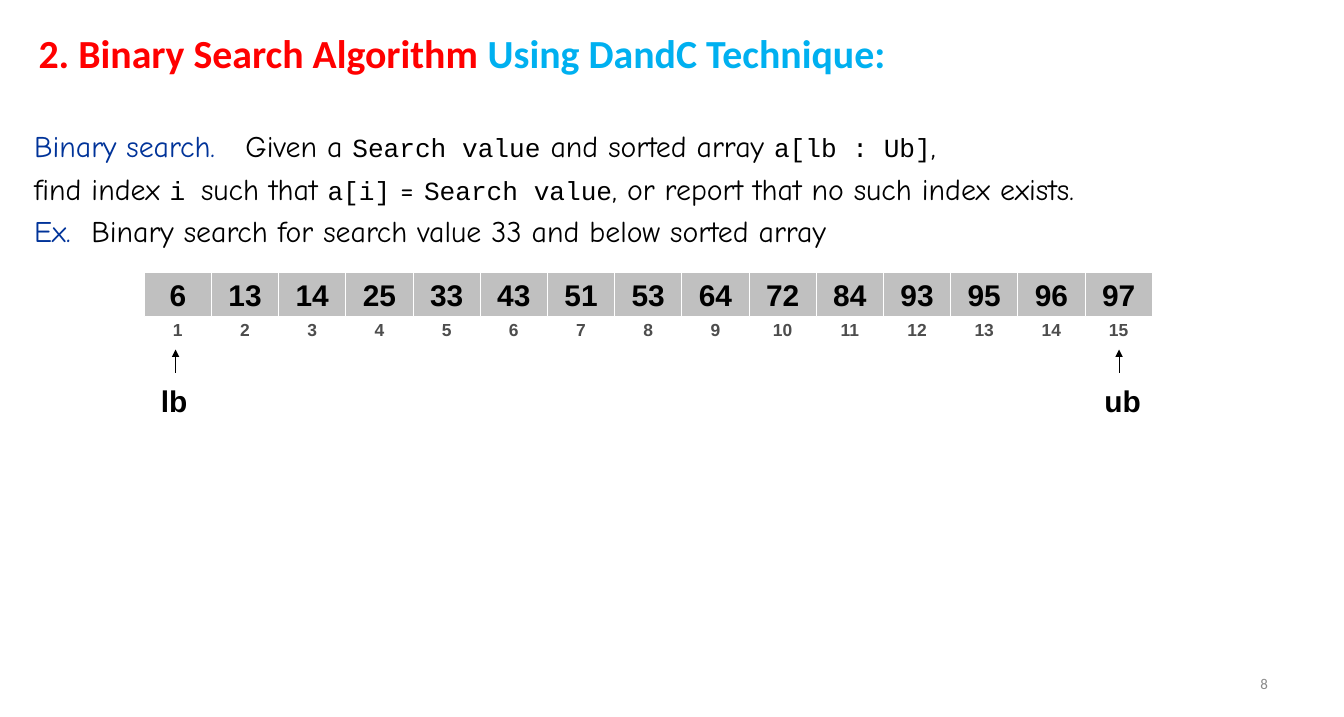
from lxml.etree import SubElement
from pptx import Presentation
from pptx.dml.color import RGBColor
from pptx.enum.shapes import MSO_CONNECTOR, MSO_SHAPE
from pptx.enum.text import MSO_ANCHOR, PP_ALIGN
from pptx.oxml.ns import qn
from pptx.util import Inches, Pt

BLACK, BLUE, WHITE = "000000", "003399", "FFFFFF"
HAND, CODE = ("Comic Neue", 24), ("Courier New", 21)

VALUES = [6, 13, 14, 25, 33, 43, 51, 53, 64, 72, 84, 93, 95, 96, 97]
ARRAY_LEFT, CELL_WIDTH = 1.61, 0.75

# Each line: optional tab stop in inches, then (text, typeface and size, colour)
PROBLEM = [
    (2.36, [("Binary search.", HAND, BLUE), ("\tGiven a ", HAND, BLACK),
            ("Search value", CODE, BLACK), (" and sorted array ", HAND, BLACK),
            ("a[lb : Ub]", CODE, BLACK), (",", HAND, BLACK)]),
    (None, [("find index ", HAND, BLACK), ("i ", CODE, BLACK),
            ("such that ", HAND, BLACK), ("a[i]", CODE, BLACK),
            (" = ", HAND, BLACK), ("Search value", CODE, BLACK),
            (", or report that no such index exists.", HAND, BLACK)]),
    (0.64, [("Ex.", HAND, BLUE),
            ("\tBinary search for search value 33 and below sorted array",
             HAND, BLACK)]),
]


def rgb(value):
    return RGBColor.from_string(value)


def set_font(font, name, size, color, bold=False):
    font.name, font.size, font.bold = name, Pt(size), bold
    font.color.rgb = rgb(color)


class SearchSlide:
    def __init__(self, presentation):
        self.slide = presentation.slides.add_slide(presentation.slide_layouts[5])
        self.shapes = self.slide.shapes

    def title(self, parts, left, top, width, height):
        heading = self.shapes.title
        heading.left, heading.top = Inches(left), Inches(top)
        heading.width, heading.height = Inches(width), Inches(height)
        heading.text_frame.vertical_anchor = MSO_ANCHOR.MIDDLE
        paragraph = heading.text_frame.paragraphs[0]
        paragraph.alignment = PP_ALIGN.LEFT
        paragraph.font.name, paragraph.font.size = "Calibri", Pt(32)
        paragraph.font.bold = True
        for text, color in parts:
            run = paragraph.add_run()
            run.text = text
            run.font.color.rgb = rgb(color)

    def frame(self, shape, wrap, anchor):
        """Give a shape the slide's common text margins."""
        frame = shape.text_frame
        frame.margin_left = frame.margin_right = Inches(0.13)
        frame.margin_top = frame.margin_bottom = Inches(0.07)
        frame.word_wrap, frame.vertical_anchor = wrap, anchor
        return frame

    def text_box(self, left, top, width, height, wrap=False, anchor=MSO_ANCHOR.TOP):
        box = self.shapes.add_textbox(
            Inches(left), Inches(top), Inches(width), Inches(height))
        return self.frame(box, wrap, anchor)

    def label(self, frame, text, size, color=BLACK, name="Arial", bold=True,
              align=PP_ALIGN.CENTER):
        paragraph = frame.paragraphs[0]
        paragraph.text, paragraph.alignment = text, align
        set_font(paragraph.font, name, size, color, bold)

    def cell(self, text, left, top, height, size, color, fill=None):
        cell = self.shapes.add_shape(
            MSO_SHAPE.RECTANGLE, Inches(left), Inches(top),
            Inches(CELL_WIDTH), Inches(height))
        cell.shadow.inherit = False
        if fill:
            cell.fill.solid()
            cell.fill.fore_color.rgb = rgb(fill)
        else:
            cell.fill.background()
        cell.line.color.rgb, cell.line.width = rgb(WHITE), Pt(0.75)
        self.label(self.frame(cell, False, MSO_ANCHOR.MIDDLE), text, size, color)

    def statement(self, lines, left, top, width, height):
        frame = self.text_box(left, top, width, height, wrap=True)
        for number, (tab, parts) in enumerate(lines):
            paragraph = frame.add_paragraph() if number else frame.paragraphs[0]
            paragraph.line_spacing = Pt(34.2)
            if tab:
                properties = paragraph._p.get_or_add_pPr()
                tabs = SubElement(properties, qn("a:tabLst"))
                SubElement(tabs, qn("a:tab"), pos=str(Inches(tab)), algn="l")
            for text, (name, size), color in parts:
                run = paragraph.add_run()
                run.text = text
                set_font(run.font, name, size, color)

    def up_arrow(self, x, bottom, top):
        arrow = self.shapes.add_connector(
            MSO_CONNECTOR.STRAIGHT, Inches(x), Inches(bottom), Inches(x), Inches(top))
        arrow.line.color.rgb, arrow.line.width = rgb(BLACK), Pt(0.75)
        properties = arrow._element.spPr
        SubElement(properties.find(qn("a:ln")), qn("a:tailEnd"), type="triangle")
        SubElement(properties, qn("a:effectLst"))

    def bound(self, name, arrow_x, left, width):
        """Mark one end of the search range with an arrow and its name."""
        self.up_arrow(arrow_x, 4.16, 3.9)
        self.label(self.text_box(left, 4.2, width, 0.54), name, 24)


def main():
    presentation = Presentation()
    presentation.slide_width, presentation.slide_height = Inches(15), Inches(8)
    search = SearchSlide(presentation)

    search.title([("2. Binary Search Algorithm ", "FF0000"),
                  ("Using DandC Technique:", "00B0F0")], 0.33, 0.25, 11.34, 0.67)
    search.statement(PROBLEM, 0.25, 1.28, 13.22, 1.56)

    for index, value in enumerate(VALUES):
        left = ARRAY_LEFT + index * CELL_WIDTH
        search.cell(str(index + 1), left, 3.57, 0.22, 14, "4D4D4D")
        search.cell(str(value), left, 3.04, 0.49, 24, BLACK, "C0C0C0")

    search.bound("lb", 1.96, 1.66, 0.57)
    search.bound("ub", 12.49, 12.19, 0.68)

    page_number = search.text_box(10.78, 7.41, 3.5, 0.43, True, MSO_ANCHOR.MIDDLE)
    search.label(page_number, "8", 12, "898989", "Calibri", False, PP_ALIGN.RIGHT)
    presentation.save("out.pptx")


if __name__ == "__main__":
    main()
